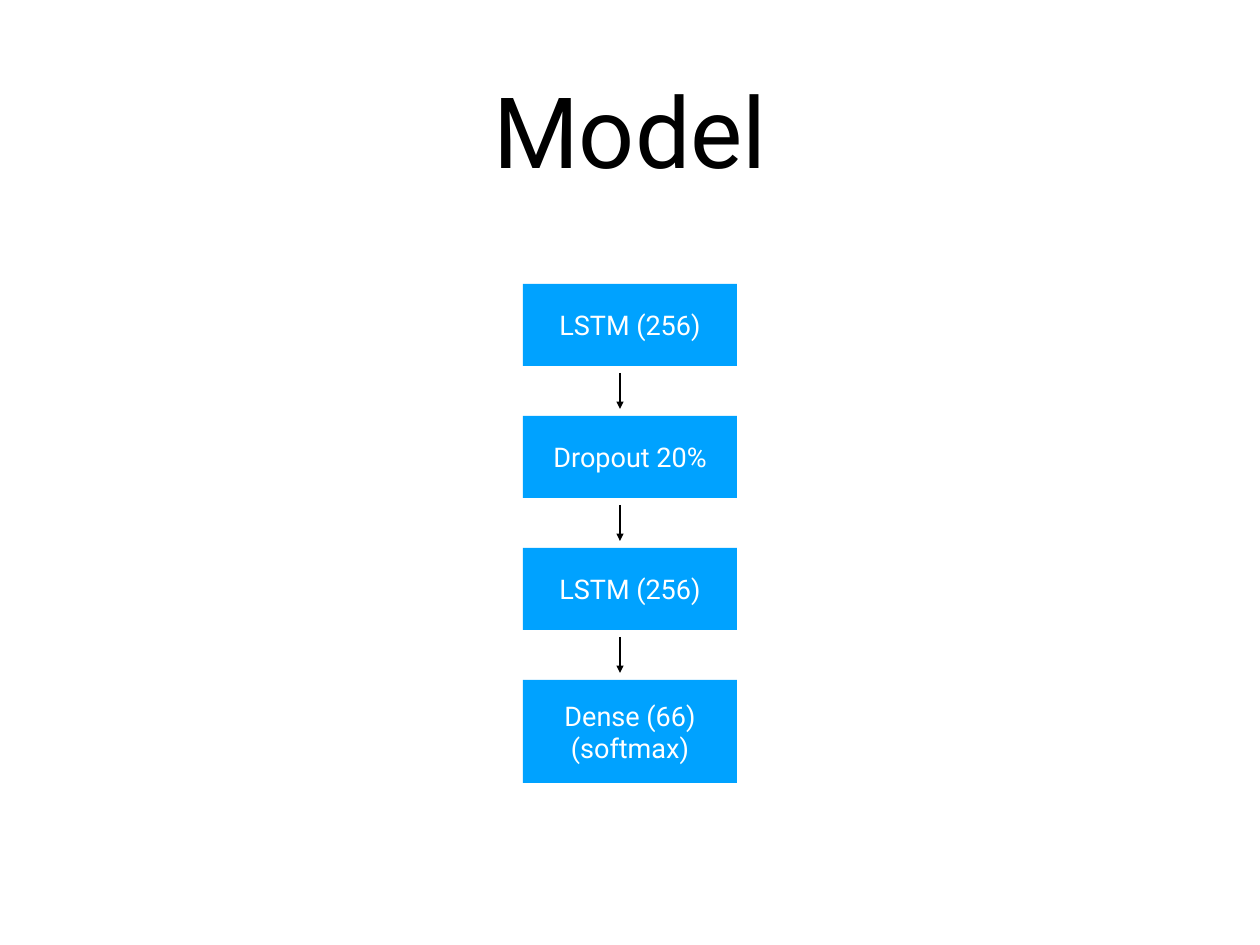
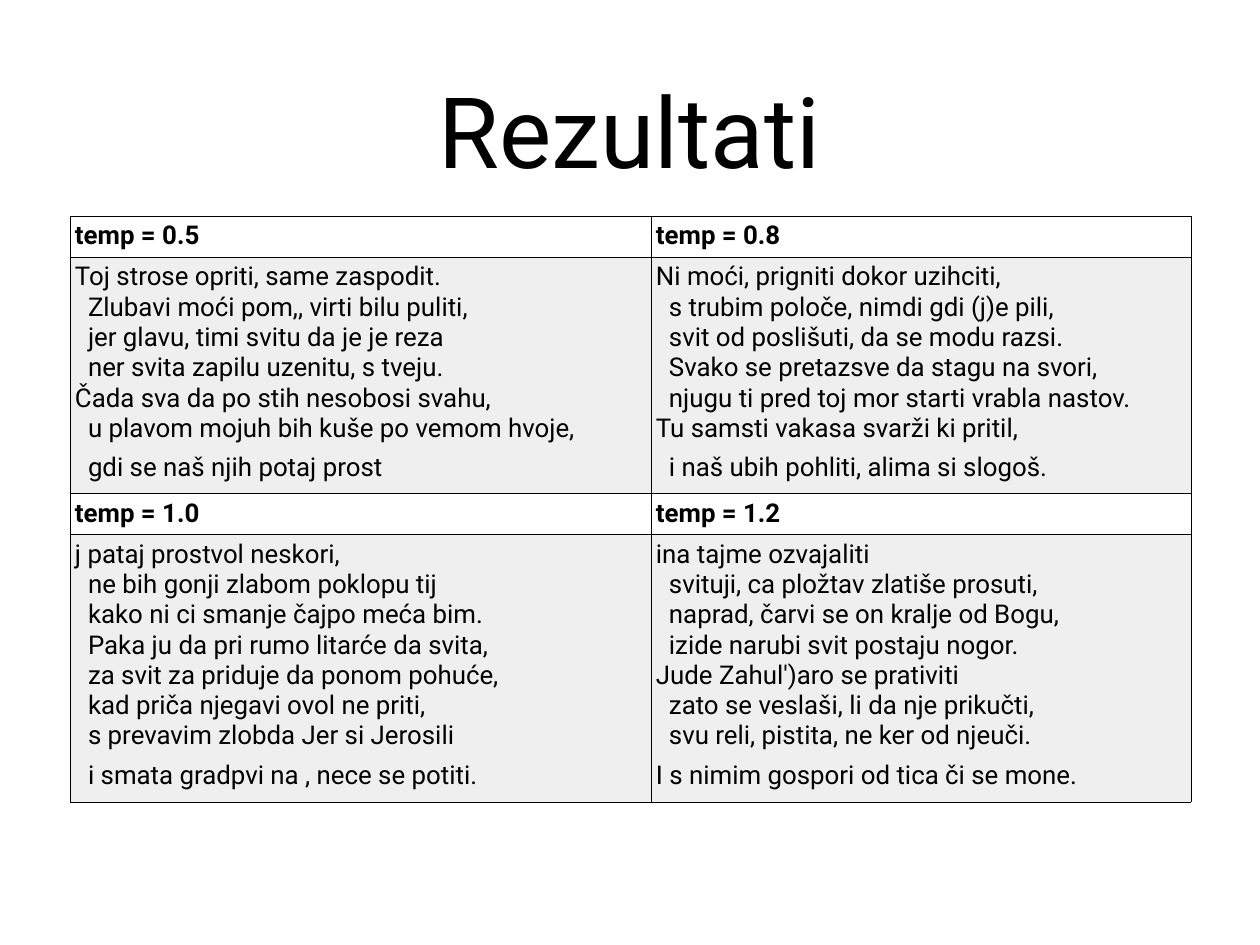
from lxml.etree import SubElement
from pptx import Presentation
from pptx.dml.color import RGBColor
from pptx.enum.shapes import MSO_CONNECTOR as CONNECTOR, MSO_SHAPE as SHAPE
from pptx.enum.text import MSO_ANCHOR as ANCHOR, PP_ALIGN as ALIGN
from pptx.oxml.ns import qn
from pptx.util import Pt

EMU_PER_PX = 10321
SLIDE_WIDTH, SLIDE_HEIGHT = 1260, 945
FONT = "Roboto"
COLORS = {"text": "000000", "layer": "00A2FF", "on_layer": "FFFFFF", "verse": "EFEFEF"}
INSET = 5
VERSE_INDENT = 13

LAYERS = [("LSTM (256)", 82), ("Dropout 20%", 82), ("LSTM (256)", 82),
          ("Dense (66)\n(softmax)", 103)]
LAYER_LEFT, LAYER_TOP, LAYER_WIDTH, LAYER_PITCH = 523, 284, 214, 132
ARROW_X, ARROW_GAP = 620, 7

TABLE_LEFT, TABLE_TOP = 70, 216
COLUMN_WIDTHS = [581, 540]
ROW_HEIGHTS = [40, 231, 40, 261]

# A leading ">" marks an indented line.
SAMPLES = [
    ("temp = 0.5", """Toj strose opriti, same zaspodit.
>Zlubavi moći pom,, virti bilu puliti,
>jer glavu, timi svitu da je je reza
>ner svita zapilu uzenitu, s tveju.
Čada sva da po stih nesobosi svahu,
>u plavom mojuh bih kuše po vemom hvoje,
>gdi se naš njih potaj prost"""),
    ("temp = 0.8", """Ni moći, prigniti dokor uzihciti,
>s trubim poloče, nimdi gdi (j)e pili,
>svit od poslišuti, da se modu razsi.
>Svako se pretazsve da stagu na svori,
>njugu ti pred toj mor starti vrabla nastov.
Tu samsti vakasa svarži ki pritil,
>i naš ubih pohliti, alima si slogoš."""),
    ("temp = 1.0", """j pataj prostvol neskori,
>ne bih gonji zlabom poklopu tij
>kako ni ci smanje čajpo meća bim.
>Paka ju da pri rumo litarće da svita,
>za svit za priduje da ponom pohuće,
>kad priča njegavi ovol ne priti,
>s prevavim zlobda Jer si Jerosili
>i smata gradpvi na , nece se potiti."""),
    ("temp = 1.2", """ina tajme ozvajaliti
>svituji, ca pložtav zlatiše prosuti,
>naprad, čarvi se on kralje od Bogu,
>izide narubi svit postaju nogor.
Jude Zahul')aro se prativiti
>zato se veslaši, li da nje prikučti,
>svu reli, pistita, ne ker od njeuči.
I s nimim gospori od tica či se mone."""),
]


def px(value):
    return value * EMU_PER_PX


def rgb(name):
    return RGBColor.from_string(COLORS[name])


def set_insets(target):
    """Give a text frame or a table cell the shared inner margins."""
    target.margin_left = target.margin_right = px(INSET)
    target.margin_top = target.margin_bottom = px(INSET)


def add_run(paragraph, text, size, color="text", bold=False):
    run = paragraph.add_run()
    run.text = text
    run.font.name = FONT
    run.font.size = Pt(size)
    run.font.bold = bold
    run.font.color.rgb = rgb(color)


def write_centered(shape, text, size, color):
    frame = shape.text_frame
    frame.word_wrap = True
    frame.vertical_anchor = ANCHOR.MIDDLE
    set_insets(frame)
    paragraph = frame.paragraphs[0]
    paragraph.alignment = ALIGN.CENTER
    for index, line in enumerate(text.split("\n")):
        if index:
            paragraph.add_line_break()
        add_run(paragraph, line, size, color)


def add_titled_slide(presentation, title):
    slide = presentation.slides.add_slide(presentation.slide_layouts[6])
    box = slide.shapes.add_textbox(px(92), px(25), px(1076), px(209))
    write_centered(box, title, 80, "text")
    return slide


def add_layer(slide, text, top, height):
    shape = slide.shapes.add_shape(SHAPE.RECTANGLE, px(LAYER_LEFT), px(top),
                                   px(LAYER_WIDTH), px(height))
    shape.shadow.inherit = False
    shape.fill.solid()
    shape.fill.fore_color.rgb = rgb("layer")
    shape.line.fill.background()
    write_centered(shape, text, 22, "on_layer")


def add_down_arrow(slide, top, bottom):
    arrow = slide.shapes.add_connector(CONNECTOR.STRAIGHT, px(ARROW_X), px(top),
                                       px(ARROW_X), px(bottom))
    arrow.line.color.rgb = rgb("text")
    arrow.line.width = Pt(2)
    SubElement(arrow.line._get_or_add_ln(), qn("a:tailEnd"), type="triangle")
    SubElement(arrow._element.spPr, qn("a:effectLst"))


def set_borders(cell):
    properties = cell._tc.get_or_add_tcPr()
    for index, side in enumerate(("lnL", "lnR", "lnT", "lnB")):
        line = properties.makeelement(qn(f"a:{side}"), {"w": str(Pt(0.25))})
        fill = SubElement(line, qn("a:solidFill"))
        SubElement(fill, qn("a:srgbClr"), val=COLORS["text"])
        properties.insert(index, line)


def write_heading(cell, heading):
    cell.fill.background()
    add_run(cell.text_frame.paragraphs[0], heading, 21, bold=True)


def write_verse(cell, verse):
    """Write one paragraph a line, with the last one set apart."""
    cell.fill.solid()
    cell.fill.fore_color.rgb = rgb("verse")
    frame = cell.text_frame
    for index, line in enumerate(verse.split("\n")):
        paragraph = frame.add_paragraph() if index else frame.paragraphs[0]
        if line.startswith(">"):
            paragraph._p.get_or_add_pPr().set("marL", str(px(VERSE_INDENT)))
        add_run(paragraph, line.removeprefix(">"), 21)
    paragraph.space_before = Pt(7.5)


def add_sample_table(slide):
    table = slide.shapes.add_table(
        len(ROW_HEIGHTS), len(COLUMN_WIDTHS), px(TABLE_LEFT), px(TABLE_TOP),
        px(sum(COLUMN_WIDTHS)), px(sum(ROW_HEIGHTS))).table
    table.first_row = table.horz_banding = False
    for column, width in zip(table.columns, COLUMN_WIDTHS):
        column.width = px(width)
    for row, height in zip(table.rows, ROW_HEIGHTS):
        row.height = px(height)
    for index, (heading, verse) in enumerate(SAMPLES):
        pair, column = divmod(index, len(COLUMN_WIDTHS))
        write_heading(table.cell(2 * pair, column), heading)
        write_verse(table.cell(2 * pair + 1, column), verse)
    for cell in table.iter_cells():
        set_insets(cell)
        set_borders(cell)


def build_model_slide(presentation):
    slide = add_titled_slide(presentation, "Model")
    for index, (text, height) in enumerate(LAYERS):
        top = LAYER_TOP + index * LAYER_PITCH
        add_layer(slide, text, top, height)
        if index < len(LAYERS) - 1:
            add_down_arrow(slide, top + height + ARROW_GAP,
                           top + LAYER_PITCH - ARROW_GAP)


def main():
    presentation = Presentation()
    presentation.slide_width = px(SLIDE_WIDTH)
    presentation.slide_height = px(SLIDE_HEIGHT)
    build_model_slide(presentation)
    add_sample_table(add_titled_slide(presentation, "Rezultati"))
    presentation.save("out.pptx")


if __name__ == "__main__":
    main()
